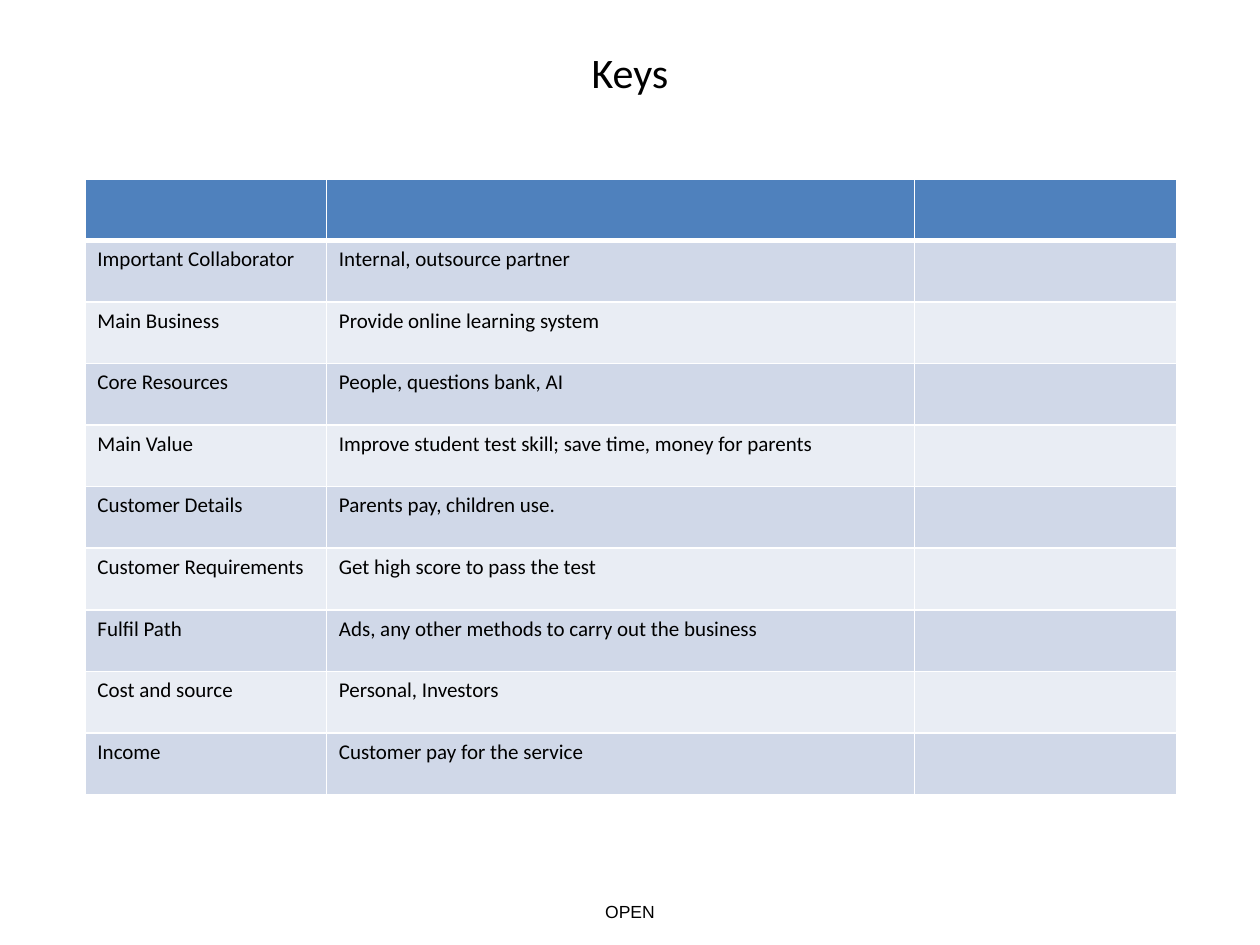
"""Build the Keys slide: a title, a business-model table and a footer label."""
from lxml.etree import SubElement
from pptx import Presentation
from pptx.dml.color import RGBColor
from pptx.enum.text import MSO_ANCHOR, PP_ALIGN
from pptx.oxml.ns import qn
from pptx.util import Pt

BLACK = RGBColor(0x00, 0x00, 0x00)
WHITE = RGBColor(0xFF, 0xFF, 0xFF)
HEADER_BLUE = RGBColor(0x4F, 0x81, 0xBD)
BANDS = (RGBColor(0xE9, 0xED, 0xF4), RGBColor(0xD0, 0xD8, 0xE8))

ROWS = [
    ("", "", ""),
    ("Important Collaborator", "Internal, outsource partner", ""),
    ("Main Business", "Provide online learning system", ""),
    ("Core Resources", "People, questions bank, AI", ""),
    ("Main Value", "Improve student test skill; save time, money for parents", ""),
    ("Customer Details", "Parents pay, children use.", ""),
    ("Customer Requirements", "Get high score to pass the test", ""),
    ("Fulfil Path", "Ads, any other methods to carry out the business", ""),
    ("Cost and source", "Personal, Investors", ""),
    ("Income", "Customer pay for the service", ""),
]
COLUMN_WIDTHS = (138, 336, 150)
ROW_HEIGHT = 35.2
TABLE_LEFT, TABLE_TOP = 48.5, 102.2

TITLE_FONT = {"name": "Calibri", "size": Pt(24)}
CELL_FONT = {"name": "Calibri", "size": Pt(12)}
FOOTER_FONT = {"name": "Arial", "size": Pt(10)}
LABELS = [
    ("OPEN", (0, 511.2, 720, 31.7), FOOTER_FONT, MSO_ANCHOR.TOP),
    ("Keys", (36, 21.6, 648, 38.2), TITLE_FONT, MSO_ANCHOR.MIDDLE),
]


def write(para, text, font):
    span = para.add_run()
    span.text = text
    for name, value in font.items():
        setattr(span.font, name, value)
    span.font.color.rgb = BLACK


def add_label(page, text, place, font, anchor):
    box = page.shapes.add_textbox(*map(Pt, place))
    frame = box.text_frame
    frame.word_wrap = True
    frame.vertical_anchor = anchor
    para = frame.paragraphs[0]
    para.alignment = PP_ALIGN.CENTER
    write(para, text, font)


def add_borders(cell, widths):
    properties = cell._tc.get_or_add_tcPr()
    for side, width in widths.items():
        line = SubElement(properties, qn(f"a:ln{side}"), w=str(Pt(width)))
        fill = SubElement(line, qn("a:solidFill"))
        SubElement(fill, qn("a:srgbClr"), val=str(WHITE))


def add_keys_table(page):
    place = (TABLE_LEFT, TABLE_TOP, sum(COLUMN_WIDTHS), ROW_HEIGHT * len(ROWS))
    table = page.shapes.add_table(
        len(ROWS), len(COLUMN_WIDTHS), *map(Pt, place)).table
    for column, width in zip(table.columns, COLUMN_WIDTHS):
        column.width = Pt(width)
    for index, texts in enumerate(ROWS):
        table.rows[index].height = Pt(ROW_HEIGHT)
        widths = {"L": 1, "R": 1, "T": 3 if index == 1 else 1,
                  "B": 3 if index == 0 else 1}
        for cell, text in zip(table.rows[index].cells, texts):
            add_borders(cell, widths)
            cell.fill.solid()
            cell.fill.fore_color.rgb = BANDS[index % 2] if index else HEADER_BLUE
            if text:
                write(cell.text_frame.paragraphs[0], text, CELL_FONT)


def main():
    deck = Presentation()
    deck.slide_width, deck.slide_height = Pt(720), Pt(540)
    page = deck.slides.add_slide(deck.slide_layouts[6])
    for label in LABELS:
        add_label(page, *label)
    add_keys_table(page)
    deck.save("out.pptx")


if __name__ == "__main__":
    main()
